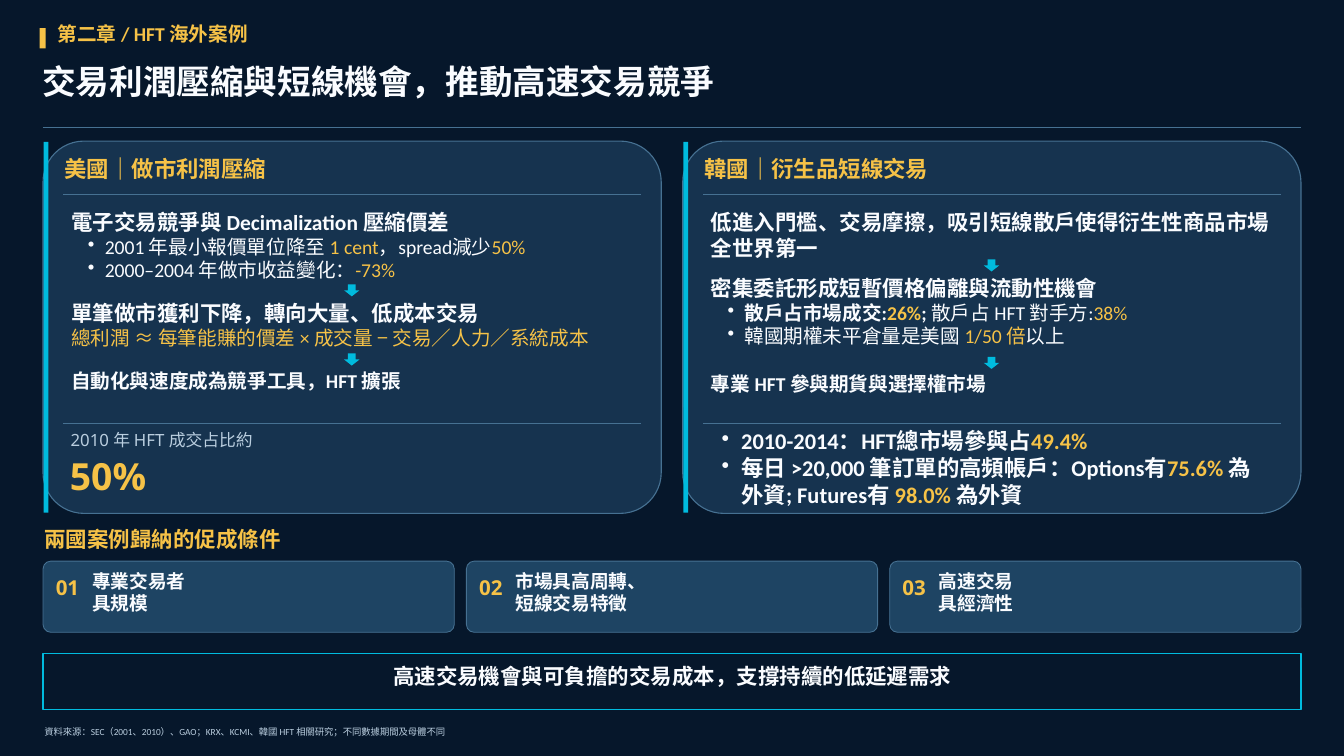
"""Build the slide on high-speed trading cases in the US and Korea."""
from dataclasses import dataclass
from typing import NamedTuple, Optional

from lxml.etree import SubElement
from pptx import Presentation
from pptx.dml.color import RGBColor as Rgb
from pptx.enum.shapes import MSO_CONNECTOR as Conn, MSO_SHAPE as Kind
from pptx.enum.text import PP_ALIGN as Align
from pptx.oxml.ns import qn
from pptx.util import Emu, Pt

NAVY = Rgb(0x06, 0x17, 0x2B)
PANEL = Rgb(0x16, 0x33, 0x4F)
CARD = Rgb(0x1E, 0x44, 0x63)
EDGE = Rgb(0x46, 0x71, 0x92)
CYAN = Rgb(0x00, 0xBB, 0xDE)
GOLD = Rgb(0xF6, 0xC2, 0x47)
WHITE = Rgb(0xFA, 0xFC, 0xFF)
MIST = Rgb(0xBA, 0xCE, 0xDF)
SCALE = 9144
BODY, PLAIN = "Calibri", "Noto Sans"
LEFT, RIGHT = 64, 1936


class Box(NamedTuple):
    x: int
    y: int
    w: int
    h: int


class Run(NamedTuple):
    text: str
    color: Rgb = WHITE
    bold: bool = True


@dataclass
class Para:
    size: int
    runs: list[Run]
    dent: int = 0
    font: str = BODY
    align: Align = Align.LEFT


@dataclass
class Block:
    y: int
    h: int
    paras: list[Para]


@dataclass
class Case:
    x: int
    title: str
    steps: list[Block]
    arrows: list[int]


def px(n: int) -> Emu:
    return Emu(n * SCALE)


def one(text: str, size: int, color: Rgb = WHITE, bold: bool = True,
        font: str = BODY, align: Align = Align.LEFT) -> Para:
    return Para(size, [Run(text, color, bold)], font=font, align=align)


def mixed(size: int, dent: int, bold: bool, *parts: str) -> Para:
    runs = [Run(part, GOLD if i % 2 else WHITE, bold) for i, part in enumerate(parts)]
    return Para(size, runs, dent)


def draw_shape(slide, kind: Kind, box: Box, fill: Rgb,
               edge: Optional[Rgb] = None, width: float = 1) -> None:
    shape = slide.shapes.add_shape(kind, *map(px, box))
    shape.shadow.inherit = False
    shape.fill.solid()
    shape.fill.fore_color.rgb = fill
    if kind == Kind.ROUNDED_RECTANGLE:
        shape.adjustments[0] = 0.11
    if edge is None:
        shape.line.fill.background()
    else:
        shape.line.color.rgb = edge
        shape.line.width = Pt(width)


def draw_rule(slide, x: int, y: int, end: int) -> None:
    rule = slide.shapes.add_connector(Conn.STRAIGHT, px(x), px(y), px(end), px(y))
    rule.line.color.rgb = EDGE
    rule.line.width = Pt(0.75)
    SubElement(rule._element.spPr, qn("a:effectLst"))


def draw_text(slide, box: Box, *paras: Para) -> None:
    frame = slide.shapes.add_textbox(*map(px, box)).text_frame
    frame.word_wrap = True
    frame.margin_left = frame.margin_right = frame.margin_top = frame.margin_bottom = 0
    for i, para in enumerate(paras):
        line = frame.add_paragraph() if i else frame.paragraphs[0]
        line.alignment = para.align
        if para.dent:
            line.level = 1
            props = line._p.get_or_add_pPr()
            props.set("marL", str(px(para.dent)))
            props.set("indent", str(px(-para.dent // 2)))
            SubElement(props, qn("a:buChar"), char="•")
        line.line_spacing = Pt(para.size * 1.2)
        for part in para.runs:
            run = line.add_run()
            run.text = part.text
            run.font.name = para.font
            run.font.size = Pt(para.size)
            run.font.bold = part.bold
            run.font.color.rgb = part.color


def draw_case(slide, case: Case) -> None:
    x = case.x
    draw_shape(slide, Kind.ROUNDED_RECTANGLE, Box(x, 210, 920, 554), PANEL, EDGE, 1.2)
    draw_shape(slide, Kind.RECTANGLE, Box(x + 1, 211, 7, 552), CYAN)
    draw_text(slide, Box(x + 32, 231, 858, 47), one(case.title, 24, GOLD))
    for y in (289, 630):
        draw_rule(slide, x + 30, y, x + 890)
    for step in case.steps:
        draw_text(slide, Box(x + 42, step.y, 836, step.h), *step.paras)
    for y in case.arrows:
        draw_shape(slide, Kind.DOWN_ARROW, Box(x + 448, y, 23, 18), CYAN)


def draw_card(slide, i: int, lines: tuple[str, str]) -> None:
    x = LEFT + 630 * i
    draw_shape(slide, Kind.ROUNDED_RECTANGLE, Box(x, 835, 612, 106), CARD, EDGE, 0.9)
    draw_text(slide, Box(x + 19, 855, 48, 43), one(f"{i + 1:02}", 22, GOLD, font=PLAIN))
    draw_text(slide, Box(x + 73, 848, 521, 79), *(one(line, 20) for line in lines))


CASES = [
    Case(LEFT, "美國｜做市利潤壓縮", [
        Block(311, 111, [
            one("電子交易競爭與 Decimalization 壓縮價差", 23),
            mixed(21, 50, False, "2001 年最小報價單位降至 ", "1 cent", "，spread減少", "50%"),
            mixed(21, 50, False, "2000–2004 年做市收益變化：", "-73%")]),
        Block(446, 77, [
            one("單筆做市獲利下降，轉向大量、低成本交易", 23),
            one("總利潤 ≈ 每筆能賺的價差 × 成交量 − 交易／人力／系統成本", 21, GOLD, False)]),
        Block(549, 40, [one("自動化與速度成為競爭工具，HFT 擴張", 21)]),
    ], [423, 526]),
    Case(1016, "韓國｜衍生品短線交易", [
        Block(311, 80, [
            one("低進入門檻、交易摩擦，吸引短線散戶使得衍生性商品市場全世界第一", 23)]),
        Block(409, 111, [
            one("密集委託形成短暫價格偏離與流動性機會", 23),
            Para(21, [Run("散戶占市場成交:"), Run("26%", GOLD), Run("; "),
                      Run("散戶占 HFT 對手方:", bold=False), Run("38%", GOLD, False)], 50),
            mixed(21, 50, False, "韓國期權未平倉量是美國 ", "1/50 倍", "以上")]),
        Block(554, 40, [one("專業 HFT 參與期貨與選擇權市場", 21)]),
    ], [386, 531]),
]
CARDS = [("專業交易者", "具規模"), ("市場具高周轉、", "短線交易特徵"), ("高速交易", "具經濟性")]


def main() -> None:
    deck = Presentation()
    deck.slide_width, deck.slide_height = px(2000), px(1125)
    slide = deck.slides.add_slide(deck.slide_layouts[6])
    slide.background.fill.solid()
    slide.background.fill.fore_color.rgb = NAVY

    draw_shape(slide, Kind.RECTANGLE, Box(59, 42, 9, 30), GOLD)
    draw_text(slide, Box(86, 32, 1000, 47), one("第二章 / HFT 海外案例", 21, GOLD))
    draw_text(slide, Box(63, 91, 1885, 75), one("交易利潤壓縮與短線機會，推動高速交易競爭", 36))
    draw_rule(slide, LEFT, 189, RIGHT)

    for case in CASES:
        draw_case(slide, case)
    draw_text(slide, Box(105, 640, 838, 28),
              one("2010 年 HFT 成交占比約", 18, MIST, False, PLAIN))
    draw_text(slide, Box(104, 674, 114, 66), one("50%", 40, GOLD, font=PLAIN))
    draw_text(slide, Box(1046, 636, 821, 125),
              mixed(24, 57, True, "2010-2014：HFT總市場參與占", "49.4%"),
              mixed(24, 57, True, "每日 >20,000 筆訂單的高頻帳戶：Options有", "75.6%",
                    " 為外資; Futures有", " 98.0%", " 為外資"))

    draw_text(slide, Box(66, 783, 1000, 45), one("兩國案例歸納的促成條件", 23, GOLD))
    for i, lines in enumerate(CARDS):
        draw_card(slide, i, lines)

    draw_shape(slide, Kind.RECTANGLE, Box(LEFT, 972, RIGHT - LEFT, 84), NAVY, CYAN, 1.3)
    draw_text(slide, Box(86, 986, 1830, 52),
              one("高速交易機會與可負擔的交易成本，支撐持續的低延遲需求", 23, align=Align.CENTER))
    draw_text(slide, Box(66, 1081, 1855, 22),
              one("資料來源：SEC（2001、2010）、GAO；KRX、KCMI、韓國 HFT 相關研究；"
                  "不同數據期間及母體不同", 10, MIST, False))
    deck.save("out.pptx")


if __name__ == "__main__":
    main()
